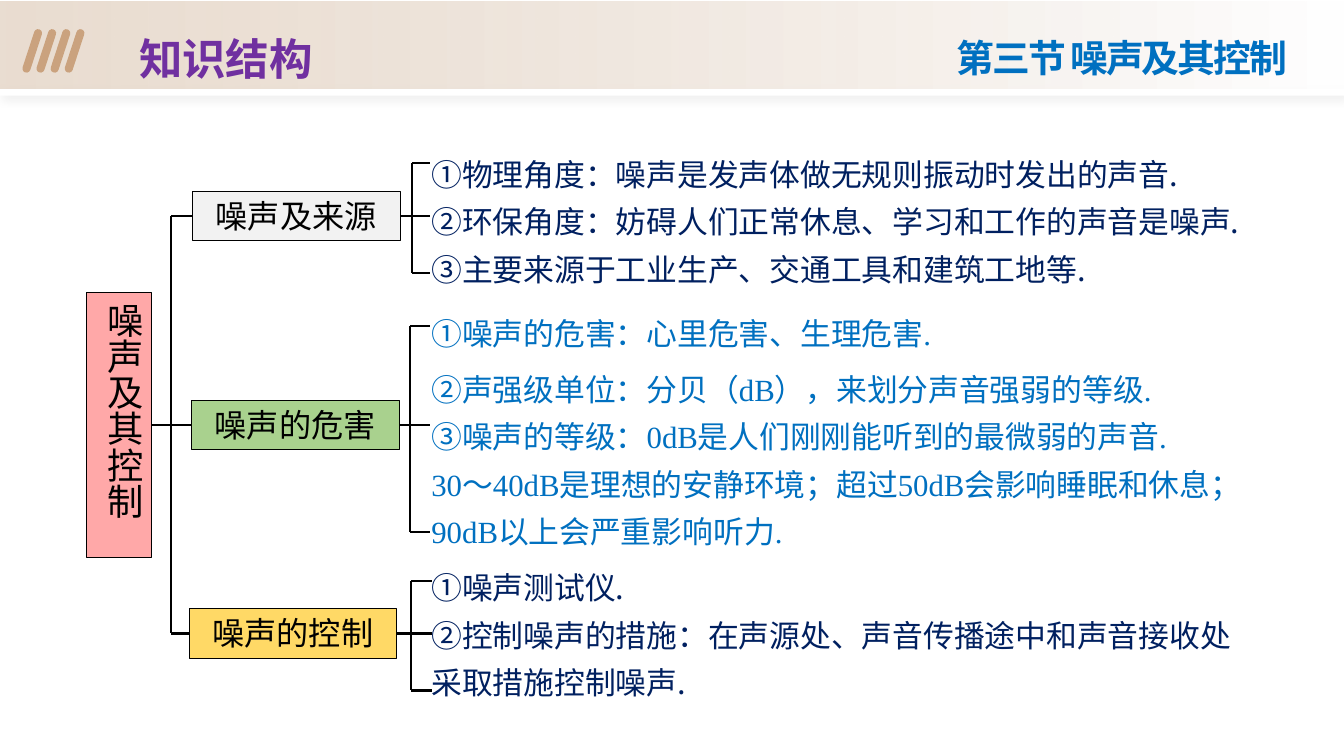
from lxml.etree import SubElement
from pptx import Presentation
from pptx.dml.color import RGBColor
from pptx.enum.shapes import MSO_CONNECTOR as CONN, MSO_SHAPE as SHAPE
from pptx.enum.text import MSO_ANCHOR as ANCHOR, MSO_AUTO_SIZE as AUTO, PP_ALIGN as ALIGN
from pptx.oxml.ns import qn
from pptx.util import Inches, Pt

BLACK = RGBColor(0x00, 0x00, 0x00)
WHITE = RGBColor(0xFF, 0xFF, 0xFF)
SAND = RGBColor(0xDE, 0xCA, 0xB7)
TAN = RGBColor(0xCA, 0xA2, 0x7E)
PURPLE = RGBColor(0x70, 0x30, 0xA0)
BLUE = RGBColor(0x00, 0x70, 0xC0)
NAVY = RGBColor(0x00, 0x20, 0x60)
PINK = RGBColor(0xFF, 0xA8, 0xA8)
GREY = RGBColor(0xF2, 0xF2, 0xF2)
GREEN = RGBColor(0xA9, 0xD1, 0x8E)
YELLOW = RGBColor(0xFF, 0xD9, 0x66)
CJK = "Noto Sans CJK SC"
SERIF = "Times New Roman"

TITLE = "知识结构"
SECTION = "第三节 噪声及其控制"
ROOT = ("噪声及其控制", (0.86, 2.9, 0.64, 2.63), PINK)
BRANCHES = [
    {"label": "噪声及来源", "box": (1.91, 1.9, 2.06, 0.49), "fill": GREY,
     "bracket": (4.09, 4.26, 1.62, 2.71)},
    {"label": "噪声的危害", "box": (1.9, 3.97, 2.06, 0.49), "fill": GREEN,
     "bracket": (4.07, 4.27, 3.23, 5.28)},
    {"label": "噪声的控制", "box": (1.88, 6.04, 2.05, 0.49), "fill": YELLOW,
     "bracket": (4.08, 4.28, 5.76, 6.85)},
]
SPINE_X = 1.7
NOTES = [
    ("①物理角度：噪声是发声体做无规则振动时发出的声音.", CJK, NAVY, 0, 0),
    ("②环保角度：妨碍人们正常休息、学习和工作的声音是噪声.", CJK, NAVY, 0, 0),
    ("③主要来源于工业生产、交通工具和建筑工地等.", CJK, NAVY, 0, 6),
    ("①噪声的危害：心里危害、生理危害.", SERIF, BLUE, 6, 0),
    ("②声强级单位：分贝（dB），来划分声音强弱的等级.", SERIF, BLUE, 6, 0),
    ("③噪声的等级：0dB是人们刚刚能听到的最微弱的声音.", SERIF, BLUE, 0, 0),
    ("30～40dB是理想的安静环境；超过50dB会影响睡眠和休息；90dB以上会严重影响听力.",
     SERIF, BLUE, 0, 0),
    ("①噪声测试仪.", CJK, NAVY, 6, 0),
    ("②控制噪声的措施：在声源处、声音传播途中和声音接收处", CJK, NAVY, 0, 0),
    ("采取措施控制噪声.", CJK, NAVY, 0, 0),
]

prs = Presentation()
prs.slide_width, prs.slide_height = Inches(13.33), Inches(7.5)
s = prs.slides.add_slide(prs.slide_layouts[5])


def add_run(p, text, size, color, bold=False, latin=CJK):
    r = p.add_run()
    r.text = text
    r.font.size = Pt(size)
    r.font.bold = bold
    r.font.color.rgb = color
    r.font.name = latin
    SubElement(r.font._element, qn("a:ea")).set("typeface", CJK)
    return r


def add_block(kind, box, fill=None):
    sp = s.shapes.add_shape(kind, *map(Inches, box))
    sp.shadow.inherit = False
    sp.line.fill.background()
    if fill is not None:
        sp.fill.solid()
        sp.fill.fore_color.rgb = fill
    return sp


def add_label(text, box, fill, size, vertical=False):
    sp = add_block(SHAPE.RECTANGLE, box, fill)
    sp.line.color.rgb = BLACK
    sp.line.width = Pt(0.75)
    tf = sp.text_frame
    tf.word_wrap = True
    tf.auto_size = AUTO.SHAPE_TO_FIT_TEXT
    tf.vertical_anchor = ANCHOR.TOP
    if vertical:
        tf._txBody.bodyPr.set("vert", "eaVert")
    p = tf.paragraphs[0]
    p.alignment = ALIGN.CENTER
    add_run(p, text, size, BLACK)
    return sp


def add_text(box):
    tf = s.shapes.add_textbox(*map(Inches, box)).text_frame
    tf.word_wrap = True
    tf.auto_size = AUTO.SHAPE_TO_FIT_TEXT
    return tf


def add_line(x1, y1, x2, y2, start=None, end=None):
    c = s.shapes.add_connector(CONN.STRAIGHT, *map(Inches, (x1, y1, x2, y2)))
    c.line.color.rgb = BLACK
    c.line.width = Pt(1.5)
    SubElement(c._element.spPr, qn("a:effectLst"))
    if start is not None:
        c.begin_connect(start, 3)
    if end is not None:
        c.end_connect(end, 1)


def middle(box):
    return box[1] + box[3] / 2


strip = add_block(SHAPE.RECTANGLE, (0, 0.88, 13.33, 0.07), WHITE)
shadow = SubElement(strip._element.spPr.find(qn("a:effectLst")), qn("a:outerShdw"),
                    blurRad=str(Pt(8)), dist=str(Pt(3)), dir="2700000", rotWithShape="0")
tint = SubElement(shadow, qn("a:srgbClr"), val=str(BLACK))
SubElement(tint, qn("a:alpha"), val="10000")

banner = add_block(SHAPE.RECTANGLE, (0, 0.02, 13.33, 0.86))
banner.fill.gradient()
banner.fill.gradient_angle = 0
for stop, color in zip(banner.fill.gradient_stops, (SAND, WHITE)):
    stop.color.rgb = color
first_color = next(banner._element.spPr.iter(qn("a:srgbClr")))
SubElement(first_color, qn("a:alpha"), val="63000")

for i in range(4):
    bar = add_block(SHAPE.ROUNDED_RECTANGLE, (0.28 + 0.14 * i, 0.28, 0.08, 0.45), TAN)
    bar.adjustments[0] = 0.5
    bar.rotation = 18.1

title = s.shapes.title
title.left, title.top, title.width, title.height = map(Inches, (1.38, 0.19, 2.7, 0.59))
s.shapes.element.append(title.element)
tf = title.text_frame
tf.margin_left = tf.margin_top = tf.margin_right = tf.margin_bottom = 0
tf.vertical_anchor = ANCHOR.TOP
tf.auto_size = AUTO.SHAPE_TO_FIT_TEXT
p = tf.paragraphs[0]
p.alignment = ALIGN.LEFT
p.line_spacing = 1.25
add_run(p, TITLE, 31, PURPLE, bold=True)

p = add_text((8.67, 0.3, 4.19, 0.56)).paragraphs[0]
p.alignment = ALIGN.RIGHT
r = add_run(p, SECTION, 27, BLUE, bold=True)
r.font._element.set("spc", "-150")

tf = add_text((4.18, 1.39, 8.75, 5.64))
for i, (text, latin, color, before, after) in enumerate(NOTES):
    p = tf.add_paragraph() if i else tf.paragraphs[0]
    p.line_spacing = Pt(33.9)
    p.space_before, p.space_after = Pt(before), Pt(after)
    add_run(p, text, 22, color, latin=latin)

root_text, root_box, root_fill = ROOT
root = add_label(root_text, root_box, root_fill, 25.9, vertical=True)
root_right = root_box[0] + root_box[2]
middles = [middle(b["box"]) for b in BRANCHES]
add_line(SPINE_X, middles[0], SPINE_X, middles[-1])

for i, branch in enumerate(BRANCHES):
    box, y = branch["box"], middles[i]
    label = add_label(branch["label"], box, branch["fill"], 23)
    if i == 1:
        add_line(root_right, y, box[0], y, start=root, end=label)
    else:
        add_line(SPINE_X, y, box[0], y, end=label)
    x, tip, top, bottom = branch["bracket"]
    add_line(x, top, x, bottom)
    add_line(x, top, tip, top)
    add_line(x, bottom, tip, bottom)
    add_line(box[0] + box[2], y, tip, y, start=label)

prs.save("out.pptx")
